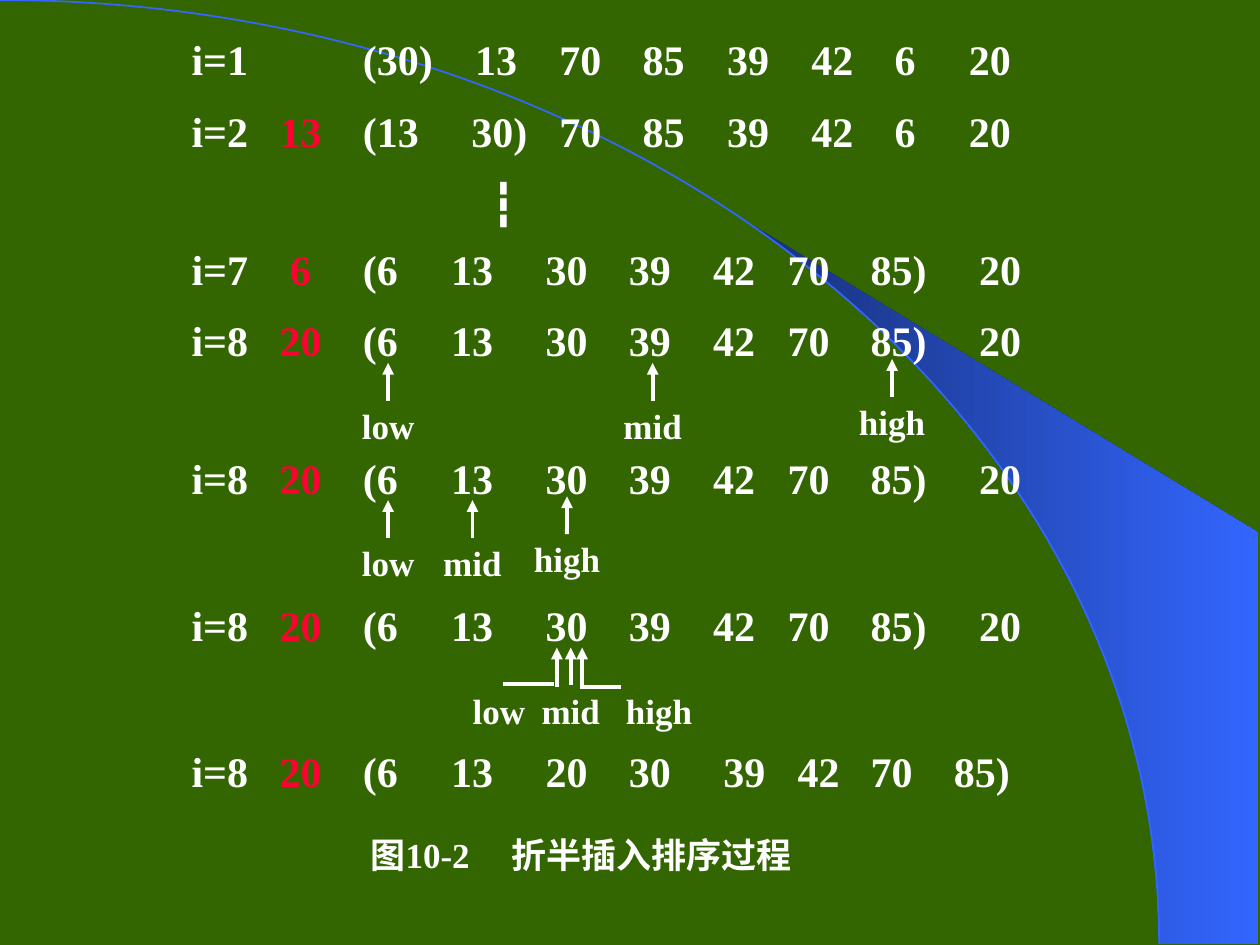
from dataclasses import dataclass
from math import asin, cos, pi, sin

from pptx import Presentation
from pptx.dml.color import RGBColor
from pptx.enum.shapes import MSO_CONNECTOR, MSO_SHAPE
from pptx.enum.text import MSO_ANCHOR, PP_ALIGN
from pptx.oxml.ns import qn
from pptx.util import Inches, Pt
from lxml.etree import SubElement


@dataclass(frozen=True)
class Theme:
    font: str = "Times New Roman"
    ground: RGBColor = RGBColor(0x33, 0x66, 0x00)
    ink: RGBColor = RGBColor(0xFF, 0xFF, 0xFF)
    key: RGBColor = RGBColor(0xFF, 0x00, 0x33)
    blue: RGBColor = RGBColor(0x33, 0x66, 0xFF)
    navy: RGBColor = RGBColor(0x17, 0x2F, 0x75)
    row_size: int = 24
    label_size: int = 20
    arrow_width: float = 2.25
    arc_width: float = 1


class SlideBuilder:
    def __init__(self, page, theme):
        self.page = page
        self.theme = theme
        page.background.fill.solid()
        page.background.fill.fore_color.rgb = theme.ground

    def text(self, left, top, width, height, parts, size, align=PP_ALIGN.CENTER, stops=()):
        box = self.page.shapes.add_textbox(*map(Inches, (left, top, width, height)))
        layout = {"word_wrap": False, "vertical_anchor": MSO_ANCHOR.MIDDLE,
                  "margin_left": 0, "margin_right": 0}
        for name, value in layout.items():
            setattr(box.text_frame, name, value)
        para = box.text_frame.paragraphs[0]
        para.alignment = align
        if stops:
            tabs = SubElement(para._p.get_or_add_pPr(), qn("a:tabLst"))
            for stop in stops:
                SubElement(tabs, qn("a:tab"), pos=str(Inches(stop)), algn="l")
        for words, color in parts:
            span = para.add_run()
            span.text = words
            style = {"name": self.theme.font, "size": Pt(size), "bold": True}
            for name, value in style.items():
                setattr(span.font, name, value)
            span.font.color.rgb = color
        return box

    def row(self, top, step, key, numbers, key_stop, number_stops):
        left = 1.52
        ink = self.theme.ink
        parts = [(step + "\t", ink), (key, self.theme.key), ("\t" + "\t".join(numbers.split()), ink)]
        stops = [round(stop - left, 2) for stop in (key_stop, *number_stops)]
        self.text(left, top, 6.75, 0.43, [part for part in parts if part[0]],
                  self.theme.row_size, PP_ALIGN.LEFT, stops)

    def label(self, words, center, top):
        width = 0.55 if words == "high" else 0.48
        return self.text(center - width / 2, top, width, 0.39,
                         [(words, self.theme.ink)], self.theme.label_size)

    def line(self, start, end, arrow=False, source=None):
        link = self.page.shapes.add_connector(
            MSO_CONNECTOR.STRAIGHT, *map(Inches, (*start, *end)))
        if source is not None:
            link.begin_connect(source, 0)
        link.line.color.rgb = self.theme.ink
        link.line.width = Pt(self.theme.arrow_width)
        properties = link._element.spPr
        if arrow:
            SubElement(properties.get_or_add_ln(), qn("a:tailEnd"), type="triangle")
        SubElement(properties, qn("a:effectLst"))

    def pointer(self, words, center, top):
        label = self.label(words, center, top)
        self.line((center, top), (center, top - 0.3), True, label)

    def wedge(self, points):
        first, *rest = [(Inches(x), Inches(y)) for x, y in points]
        builder = self.page.shapes.build_freeform(*first, scale=1.0)
        builder.add_line_segments(rest, close=True)
        shape = builder.convert_to_shape()
        shape.shadow.inherit = False
        shape.fill.gradient()
        shape.fill.gradient_angle = 0
        for stop, color in zip(shape.fill.gradient_stops, (self.theme.navy, self.theme.blue)):
            stop.color.rgb = color
        shape.line.fill.background()

    def arc(self, radius_x, radius_y):
        shape = self.page.shapes.add_shape(
            MSO_SHAPE.ARC, Inches(-radius_x), 0, Inches(2 * radius_x), Inches(2 * radius_y))
        shape.shadow.inherit = False
        shape.fill.background()
        shape.line.color.rgb = self.theme.blue
        shape.line.width = Pt(self.theme.arc_width)


def main():
    deck = Presentation()
    deck.slide_width, deck.slide_height = Inches(10), Inches(7.5)
    theme = Theme()
    slide = SlideBuilder(deck.slides.add_slide(deck.slide_layouts[6]), theme)

    radius_x, radius_y, edge_steps = 9.2, 7.49, 14
    start = asin(5.89 / radius_x)
    angles = [start + (pi / 2 - start) * step / edge_steps for step in range(edge_steps + 1)]
    inner_edge = [(radius_x * sin(angle), radius_y * (1 - cos(angle))) for angle in angles]
    slide.wedge(inner_edge + [(9.99, 7.49), (9.99, 4.23)])
    slide.arc(radius_x, radius_y)

    unsorted_stops = (4.44, 5.10, 5.77, 6.44, 7.10, 7.69)
    sorted_stops = (2.88, 3.58, 4.33, 4.99, 5.66, 6.25, 6.91, 7.77)
    final_stops = (2.88, 3.58, 4.33, 4.99, 5.74, 6.33, 6.91, 7.57)
    sorted_numbers = "(6 13 30 39 42 70 85) 20"
    rows = [
        (0.25, "i=1", "", "(30) 13 70 85 39 42 6 20", 2.22, (2.88, 3.77, *unsorted_stops)),
        (0.82, "i=2", "13", "(13 30) 70 85 39 42 6 20", 2.22, (2.88, 3.74, *unsorted_stops)),
        (1.92, "i=7", "6", sorted_numbers, 2.30, sorted_stops),
        *((top, "i=8", "20", sorted_numbers, 2.22, sorted_stops) for top in (2.48, 3.58, 4.74)),
        (5.9, "i=8", "20", "(6 13 20 30 39 42 70 85)", 2.22, final_stops),
    ]
    for row in rows:
        slide.row(*row)
    slide.text(3.82, 1.33, 0.35, 0.55, [("┇", theme.ink)], theme.row_size)

    pointers = [
        ("low", 3.08, 3.18), ("mid", 5.18, 3.18), ("high", 7.08, 3.15),
        ("low", 3.08, 4.27), ("mid", 3.75, 4.27), ("high", 4.5, 4.24),
        ("mid", 4.53, 5.44),
    ]
    for pointer in pointers:
        slide.pointer(*pointer)

    bent_pointers = [("low", 3.96, 4.42, 4.4, 3.99, 5.43), ("high", 5.23, 4.62, 4.6, 4.93, 5.45)]
    for words, center, tip, inner, outer, level in bent_pointers:
        slide.label(words, center, 5.44)
        slide.line((tip, 5.45), (tip, 5.14), True)
        slide.line((inner, level), (outer, level))

    slide.text(2.94, 6.57, 3.45, 0.43, [("图10-2\t折半插入排序过程", theme.ink)],
               theme.label_size, PP_ALIGN.LEFT, [1.12])
    deck.save("out.pptx")


if __name__ == "__main__":
    main()
